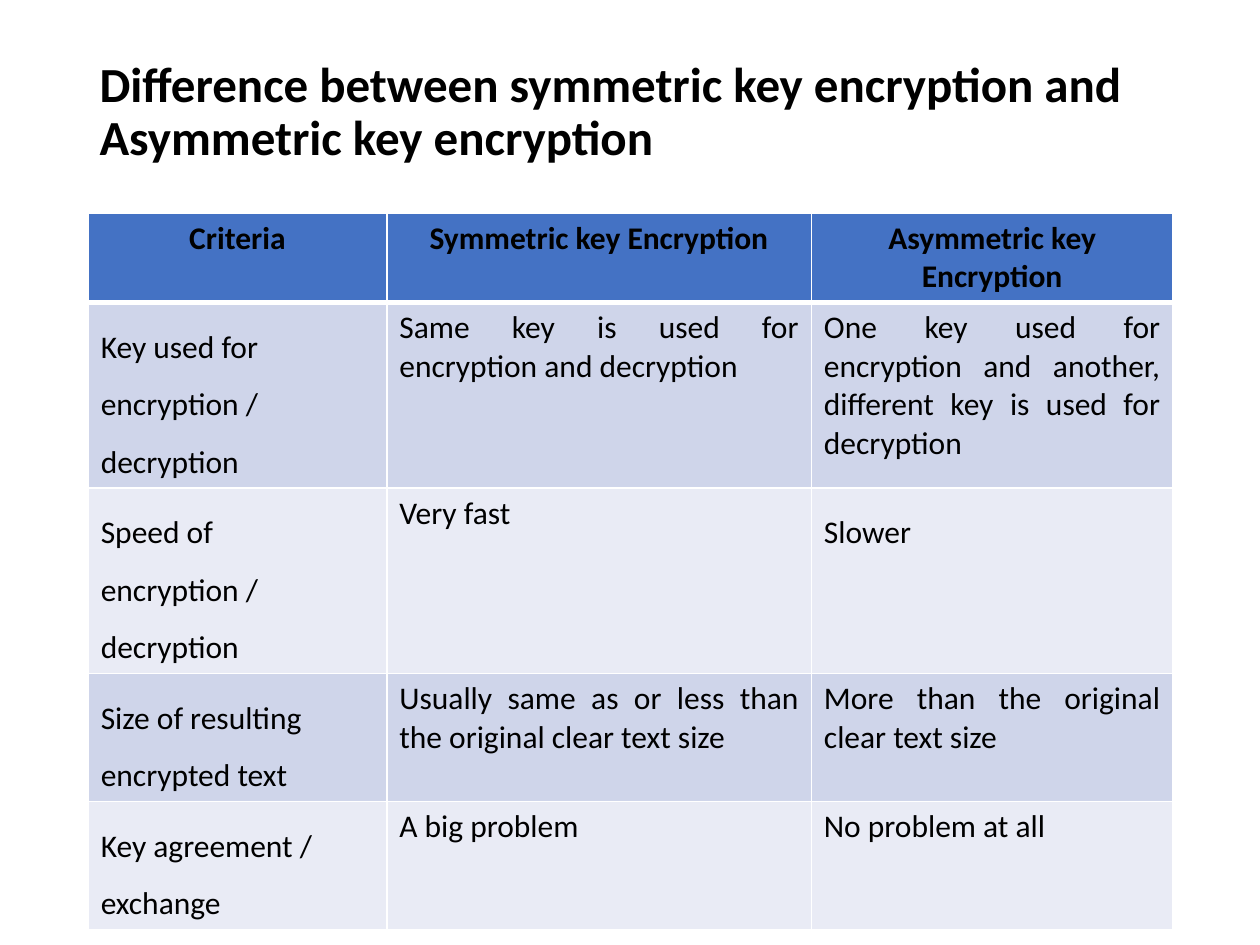
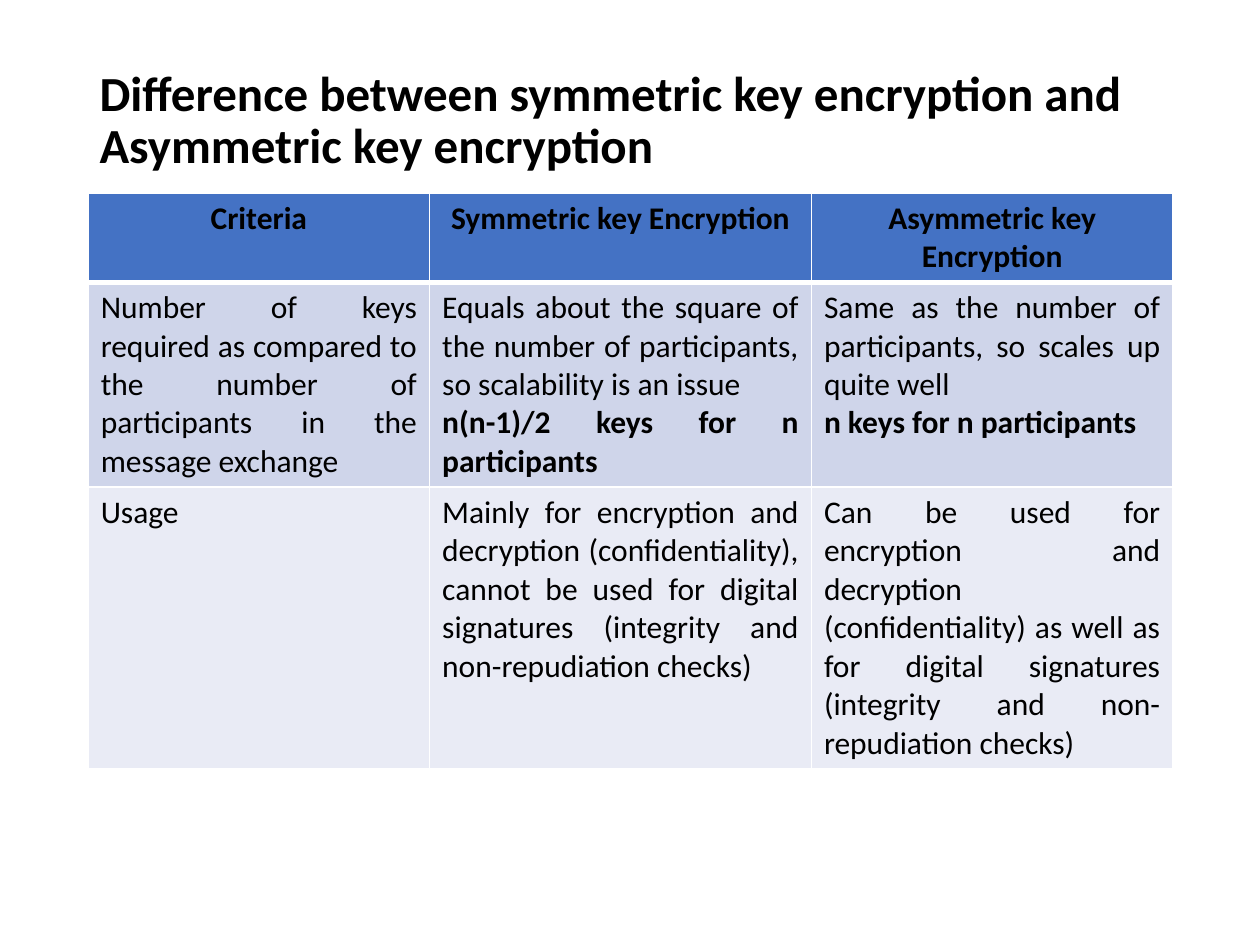
from lxml import etree
from pptx import Presentation
from pptx.dml.color import RGBColor
from pptx.enum.text import MSO_ANCHOR, MSO_AUTO_SIZE, PP_ALIGN as AL
from pptx.oxml.ns import qn
from pptx.util import Inches, Pt

COLORS = {"text": "000000", "header": "4472C4", "odd": "CFD5EA",
          "even": "E9EBF5", "border": "FFFFFF"}
TITLE = ("Difference between symmetric key encryption and "
         "Asymmetric key encryption")
HEADER = ["Criteria", "Symmetric key Encryption", "Asymmetric key Encryption"]
LEFT = 0.7

# Paragraph styles: paragraph format and font weight
STYLES = {
    "head": ({"alignment": AL.CENTER}, True),
    "just": ({"alignment": AL.JUSTIFY}, False),
    "bold": ({"alignment": AL.JUSTIFY}, True),
    "wide": ({"line_spacing": 1.5}, False),
    "title": ({"alignment": AL.LEFT, "line_spacing": 0.9}, True),
}

# A cell is a list of (style, text) paragraphs; a plain string is justified
SLIDES = [
    {"title_height": 1, "top": 1.69, "height": 5.41,
     "cols": [2.37, 3.37, 2.87], "heights": [0.49, 0.96, 0.94, 0.94, 0.94],
     "rows": [
         [[("wide", "Key used for encryption / decryption")],
          "Same key is used for encryption and decryption",
          "One key used for encryption and another, different key is used "
          "for decryption"],
         [[("wide", "Speed of encryption / decryption")],
          "Very fast",
          [("wide", "Slower")]],
         [[("wide", "Size of resulting encrypted text")],
          "Usually same as or less than the original clear text size",
          "More than the original clear text size"],
         [[("wide", "Key agreement / exchange")],
          "A big problem",
          "No problem at all"],
     ]},
    {"title_height": 1.13, "top": 1.53, "height": 4.5,
     "cols": [2.71, 3.03, 2.87], "heights": [0.4, 0.96, 0.94],
     "rows": [
         ["Number of keys required as compared to the number of participants "
          "in the message exchange",
          [("just", "Equals about the square of the number of participants, "
                    "so scalability is an issue"),
           ("bold", "n(n-1)/2 keys for n participants")],
          [("just", "Same as the number of participants, so scales up quite "
                    "well"),
           ("bold", "n keys for n participants")]],
         ["Usage",
          "Mainly for encryption and decryption (confidentiality), cannot be "
          "used for digital signatures (integrity and non-repudiation checks)",
          "Can be used for encryption and decryption (confidentiality) as well "
          "as for digital signatures (integrity and non-repudiation checks)"],
     ]},
]


def write(tf, paragraphs, size):
    for i, (style, text) in enumerate(paragraphs):
        p = tf.add_paragraph() if i else tf.paragraphs[0]
        layout, bold = STYLES[style]
        for name, value in layout.items():
            setattr(p, name, value)
        r = p.add_run()
        r.text = text
        for name, value in {"name": "Calibri", "size": Pt(size),
                            "bold": bold}.items():
            setattr(r.font, name, value)
        r.font.color.rgb = RGBColor.from_string(COLORS["text"])


def add_borders(cell, widths):
    tc_pr = cell._tc.get_or_add_tcPr()
    for side, width in widths.items():
        ln = etree.SubElement(tc_pr, qn("a:ln" + side), w=str(Pt(width)))
        fill = etree.SubElement(ln, qn("a:solidFill"))
        etree.SubElement(fill, qn("a:srgbClr"), val=COLORS["border"])


prs = Presentation()
prs.slide_width, prs.slide_height = Inches(10), Inches(7.5)

for data in SLIDES:
    s = prs.slides.add_slide(prs.slide_layouts[5])

    # Title
    sp = s.shapes.title
    for name, value in {"left": 0.69, "top": 0.4, "width": 8.62,
                        "height": data["title_height"]}.items():
        setattr(sp, name, Inches(value))
    tf = sp.text_frame
    for name, value in {"word_wrap": True, "auto_size": MSO_AUTO_SIZE.NONE,
                        "vertical_anchor": MSO_ANCHOR.MIDDLE}.items():
        setattr(tf, name, value)
    write(tf, [("title", TITLE)], 28)

    # Comparison table
    rows = [[[("head", text)] for text in HEADER]] + data["rows"]
    frame = s.shapes.add_table(len(rows), len(HEADER), Inches(LEFT),
                               Inches(data["top"]), Inches(sum(data["cols"])),
                               Inches(data["height"]))
    table = frame.table
    for col, width in zip(table.columns, data["cols"]):
        col.width = Inches(width)
    for row, height in zip(table.rows, data["heights"]):
        row.height = Inches(height)
    frame.height = Inches(data["height"])

    for i, row in enumerate(rows):
        band = "header" if i == 0 else "odd" if i % 2 else "even"
        for j, content in enumerate(row):
            cell = table.cell(i, j)
            if isinstance(content, str):
                content = [("just", content)]
            write(cell.text_frame, content, 18)
            # The rule under the header is thicker
            add_borders(cell, {"L": 1, "R": 1, "T": 3 if i == 1 else 1,
                               "B": 3 if i == 0 else 1})
            cell.fill.solid()
            cell.fill.fore_color.rgb = RGBColor.from_string(COLORS[band])

prs.save("out.pptx")
